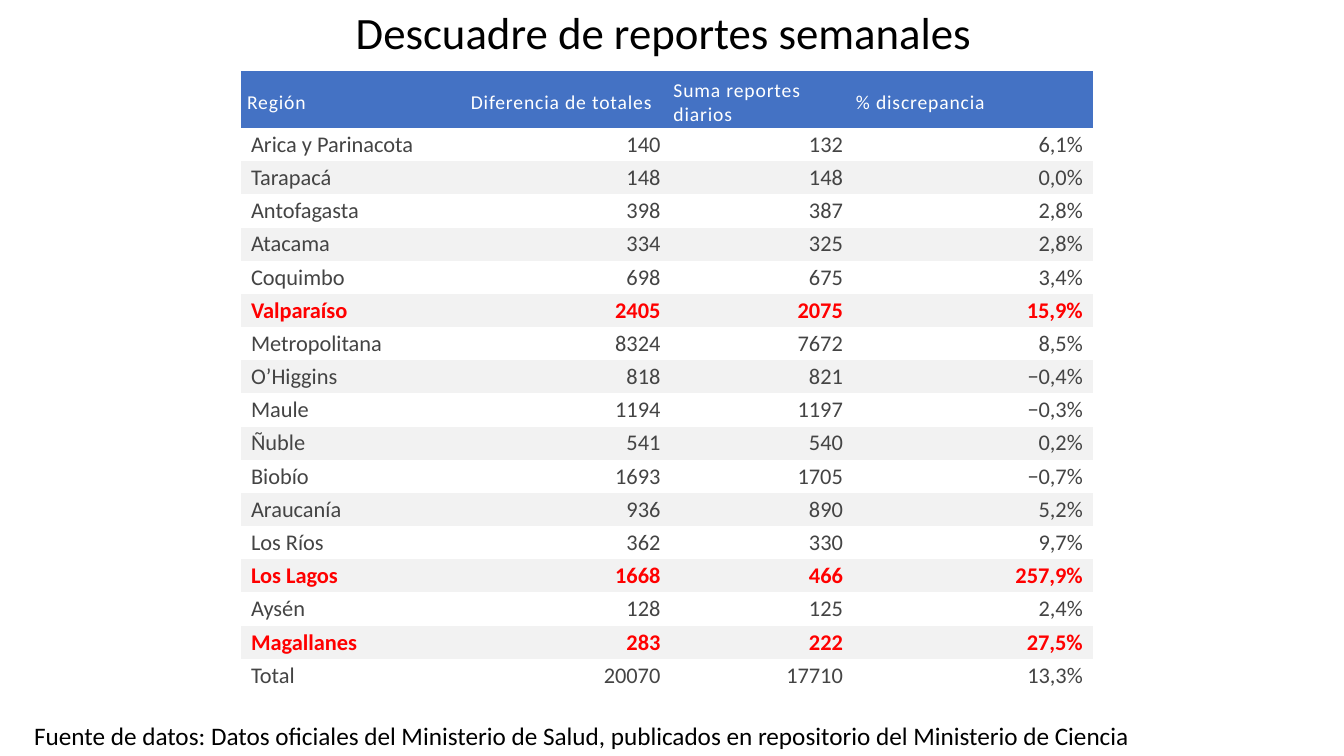
from pptx import Presentation
from pptx.dml.color import RGBColor
from pptx.enum import text
from pptx.oxml import ns
from pptx.util import Inches, Pt

FONT = "Calibri"
NO_STYLE = "{2D5ABB26-0587-4C30-8999-92F81FD0307C}"
HEADINGS = ["Región", "Diferencia de totales", "Suma reportes diarios", "% discrepancia"]
REGIONS = [
    ("Arica y Parinacota", "140", "132", "6,1%"),
    ("Tarapacá", "148", "148", "0,0%"),
    ("Antofagasta", "398", "387", "2,8%"),
    ("Atacama", "334", "325", "2,8%"),
    ("Coquimbo", "698", "675", "3,4%"),
    ("Valparaíso", "2405", "2075", "15,9%"),
    ("Metropolitana", "8324", "7672", "8,5%"),
    ("O’Higgins", "818", "821", "−0,4%"),
    ("Maule", "1194", "1197", "−0,3%"),
    ("Ñuble", "541", "540", "0,2%"),
    ("Biobío", "1693", "1705", "−0,7%"),
    ("Araucanía", "936", "890", "5,2%"),
    ("Los Ríos", "362", "330", "9,7%"),
    ("Los Lagos", "1668", "466", "257,9%"),
    ("Aysén", "128", "125", "2,4%"),
    ("Magallanes", "283", "222", "27,5%"),
    ("Total", "20070", "17710", "13,3%"),
]
HIGHLIGHTED = {"Valparaíso", "Los Lagos", "Magallanes"}
COLUMN_WIDTHS = [2.22, 2.01, 1.81, 2.41]
HEADER_HEIGHT = 0.57


def color(value):
    return RGBColor.from_string(value)


def add_span(para, words, size, ink, bold=False):
    span = para.add_run()
    span.text = words
    span.font.name = FONT
    span.font.size = Pt(size)
    span.font.bold = bold
    span.font.color.rgb = color(ink)
    return span


def add_line(page, box, words, size):
    frame = page.shapes.add_textbox(*map(Inches, box)).text_frame
    frame.word_wrap = False
    frame.auto_size = text.MSO_AUTO_SIZE.SHAPE_TO_FIT_TEXT
    add_span(frame.paragraphs[0], words, size, "000000")


def set_margins(cell, left, top, right, bottom):
    cell.margin_left, cell.margin_top = Inches(left), Inches(top)
    cell.margin_right, cell.margin_bottom = Inches(right), Inches(bottom)


def fill_header(cell, words, last):
    set_margins(cell, 0.06, 0.08, 0.06 if last else 0.04, 0.02)
    cell.vertical_anchor = text.MSO_ANCHOR.MIDDLE
    cell.fill.solid()
    cell.fill.fore_color.rgb = color("4472C4")
    span = add_span(cell.text_frame.paragraphs[0], words, 14, "FFFFFF")
    span.font._element.set("spc", "60")  # letter spacing, hundredths of a point


def fill_value(cell, words, first, last, shaded, highlighted):
    set_margins(cell, 0.1, 0.03, 0.1 if last else 0.07, 0.03)
    if shaded:
        cell.fill.solid()
        cell.fill.fore_color.rgb = color("F2F2F2")
    else:
        cell.fill.background()
    para = cell.text_frame.paragraphs[0]
    if not first:
        para.alignment = text.PP_ALIGN.RIGHT
    add_span(para, words, 16, "FF0000" if highlighted else "444444", highlighted)


def add_region_table(page, box):
    frame = page.shapes.add_table(len(REGIONS) + 1, len(HEADINGS), *map(Inches, box))
    table = frame.table
    table.horz_banding = False
    frame._element.find(".//" + ns.qn("a:tableStyleId")).text = NO_STYLE

    # Column widths and row heights
    for column, width in zip(table.columns, COLUMN_WIDTHS):
        column.width = Inches(width)
    row_height = (box[3] - HEADER_HEIGHT) / len(REGIONS)
    for number, row in enumerate(table.rows):
        row.height = Inches(row_height if number else HEADER_HEIGHT)

    # Header and one row per region
    last = len(HEADINGS) - 1
    for column, heading in enumerate(HEADINGS):
        fill_header(table.cell(0, column), heading, column == last)
    for number, values in enumerate(REGIONS, 1):
        for column, value in enumerate(values):
            fill_value(table.cell(number, column), value, column == 0, column == last,
                       number % 2 == 0, values[0] in HIGHLIGHTED)


def main():
    deck = Presentation()
    deck.slide_width, deck.slide_height = Inches(13.33), Inches(7.5)
    page = deck.slides.add_slide(deck.slide_layouts[6])

    # Source note, table and title
    add_line(page, (0.24, 7.1, 11.22, 0.4),
             "Fuente de datos: Datos oficiales del Ministerio de Salud, "
             "publicados en repositorio del Ministerio de Ciencia", 18)
    add_region_table(page, (2.39, 0.7, 8.45, 6.17))
    add_line(page, (3.43, 0, 6.36, 0.64), "Descuadre de reportes semanales", 32)
    deck.save("out.pptx")


if __name__ == "__main__":
    main()
